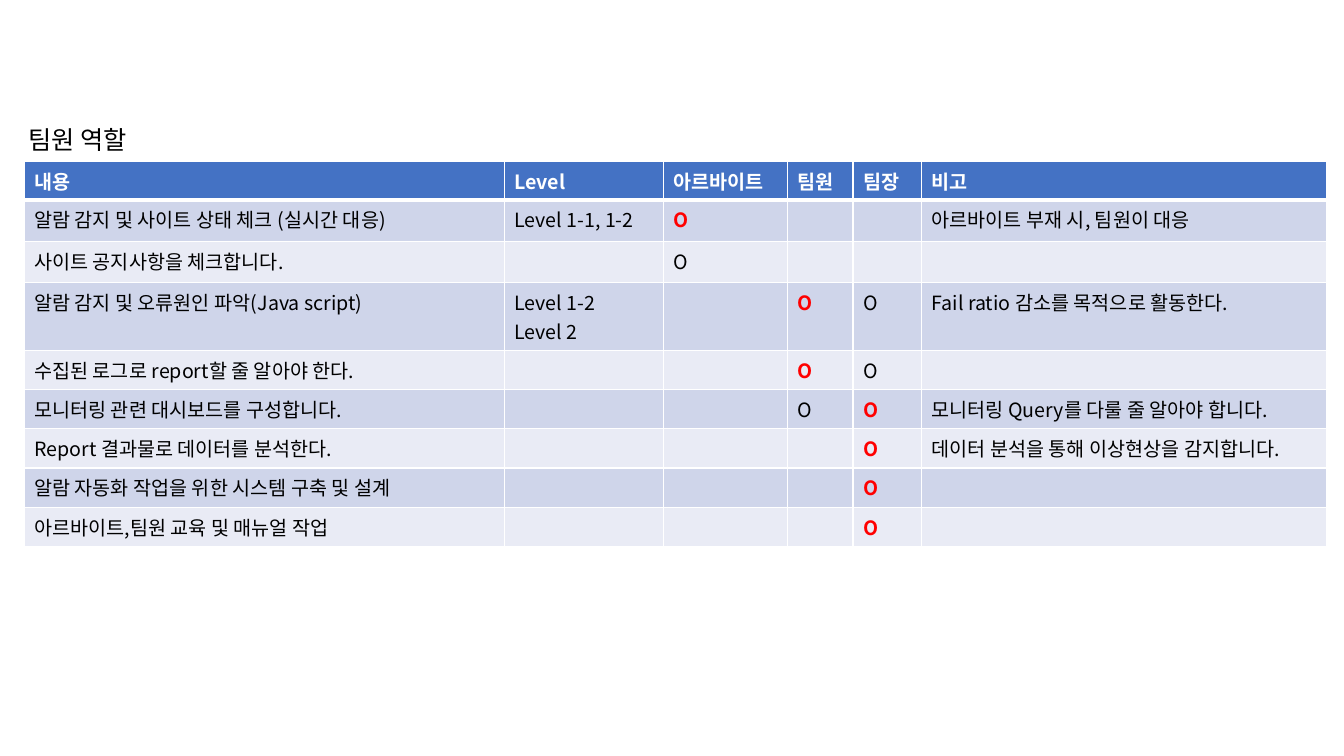
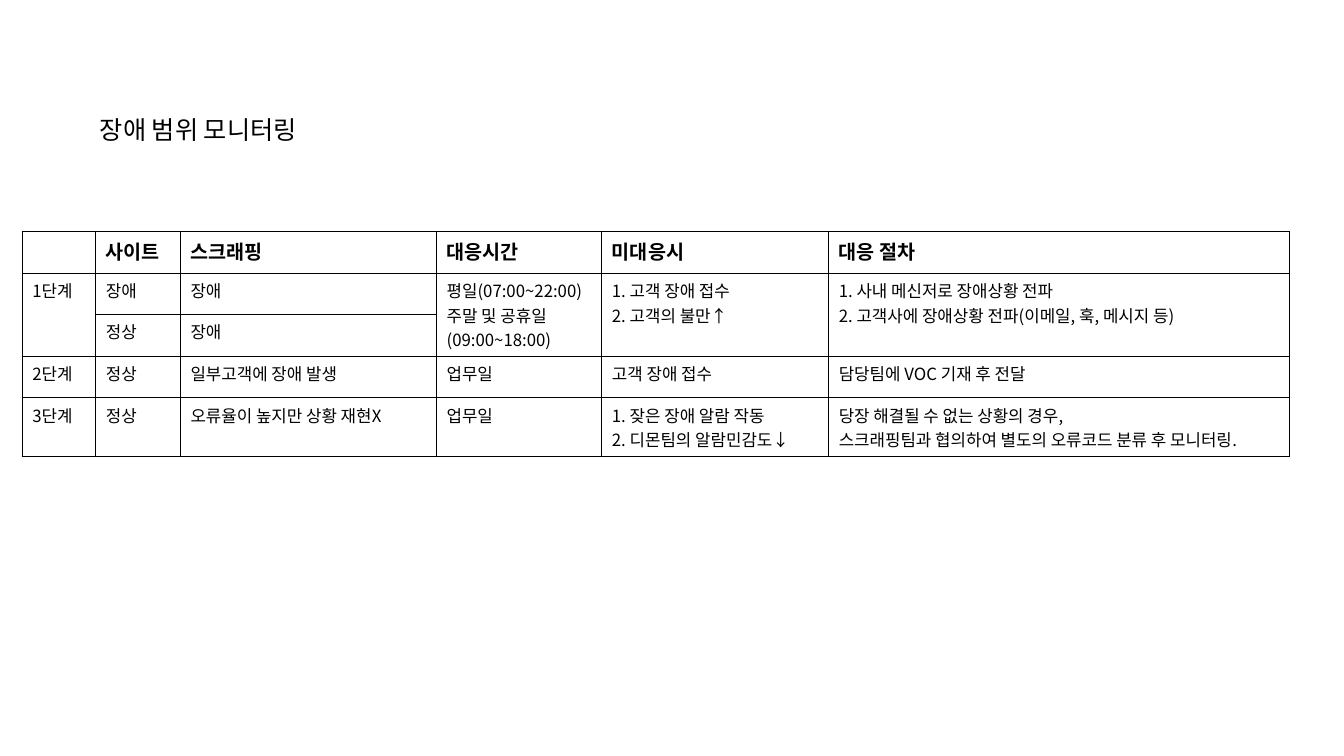
"""Build two slides: team roles and the monitoring scope for failures."""
from lxml.etree import SubElement
from pptx import Presentation
from pptx.dml.color import RGBColor
from pptx.enum.text import MSO_ANCHOR, MSO_AUTO_SIZE, PP_ALIGN
from pptx.oxml.ns import qn
from pptx.util import Inches, Pt

FONT = "Noto Sans CJK KR"
COLORS = {
    "text": "000000",
    "white": "FFFFFF",
    "lead": "FF0000",
    "header": "4472C4",
    "band_dark": "CFD5EA",
    "band_light": "E9EBF5",
}


def style_text(frame, size, color, bold=False):
    for paragraph in frame.paragraphs:
        paragraph.alignment = PP_ALIGN.LEFT
        paragraph.font.size = Pt(size)
        paragraph.font.bold = bold
        paragraph.font.color.rgb = RGBColor.from_string(COLORS[color])
        paragraph.font.name = FONT
        properties = paragraph._p.pPr.find(qn("a:defRPr"))
        SubElement(properties, qn("a:ea"), typeface=FONT)


def set_borders(cell, color, bottom=1, top=1):
    properties = cell._tc.get_or_add_tcPr()
    widths = {"a:lnL": 1, "a:lnR": 1, "a:lnT": top, "a:lnB": bottom}
    for position, (tag, width) in enumerate(widths.items()):
        line = properties.makeelement(qn(tag), {"w": str(Pt(width))})
        fill = SubElement(line, qn("a:solidFill"))
        SubElement(fill, qn("a:srgbClr"), val=COLORS[color])
        properties.insert(position, line)


role_rows = [
    ["내용", "Level", "아르바이트", "팀원", "팀장", "비고"],
    ["알람 감지 및 사이트 상태 체크 (실시간 대응)", "Level 1-1, 1-2", "O", "", "",
     "아르바이트 부재 시, 팀원이 대응"],
    ["사이트 공지사항을 체크합니다.", "", "O", "", "", ""],
    ["알람 감지 및 오류원인 파악(Java script)", "Level 1-2\nLevel 2", "", "O", "O",
     "Fail ratio 감소를 목적으로 활동한다."],
    ["수집된 로그로 report할 줄 알아야 한다.", "", "", "O", "O", ""],
    ["모니터링 관련 대시보드를 구성합니다.", "", "", "O", "O",
     "모니터링 Query를 다룰 줄 알아야 합니다."],
    ["Report 결과물로 데이터를 분석한다.", "", "", "", "O",
     "데이터 분석을 통해 이상현상을 감지합니다."],
    ["알람 자동화 작업을 위한 시스템 구축 및 설계", "", "", "", "O", ""],
    ["아르바이트,팀원 교육 및 매뉴얼 작업", "", "", "", "O", ""],
]
lead_columns = {1: 2, 3: 3, 4: 3, 5: 4, 6: 4, 7: 4, 8: 4}

scope_rows = [
    ["", "사이트", "스크래핑", "대응시간", "미대응시", "대응 절차"],
    ["1단계", "장애", "장애", "평일(07:00~22:00)\n주말 및 공휴일(09:00~18:00)",
     "1. 고객 장애 접수\n2. 고객의 불만↑",
     "1. 사내 메신저로 장애상황 전파\n2. 고객사에 장애상황 전파(이메일, 훅, 메시지 등)"],
    ["", "정상", "장애", "", "", ""],
    ["2단계", "정상", "일부고객에 장애 발생", "업무일", "고객 장애 접수",
     "담당팀에 VOC 기재 후 전달"],
    ["3단계", "정상", "오류율이 높지만 상황 재현X", "업무일",
     "1. 잦은 장애 알람 작동\n2. 디몬팀의 알람민감도↓",
     "당장 해결될 수 없는 상황의 경우,\n"
     "스크래핑팀과 협의하여 별도의 오류코드 분류 후 모니터링."],
]

pages = [
    {
        "title": "팀원 역할", "title_box": (0.18, 1.18, 1.3, 0.4),
        "rows": role_rows, "corner": (0.24, 1.6),
        "widths": [4.76, 1.58, 1.23, 0.65, 0.68, 4.02],
        "heights": [0.38, 0.41, 0.41, 0.67] + [0.39] * 5,
        "fills": ["header"] + ["band_dark", "band_light"] * 4,
        "header_color": "white", "body_size": 14, "border": "white",
        "header_rule": 3, "leads": lead_columns, "merged": [],
    },
    {
        "title": "장애 범위 모니터링", "title_box": (0.89, 1.08, 2.49, 0.4),
        "rows": scope_rows, "corner": (0.22, 2.3),
        "widths": [0.73, 0.84, 2.54, 1.64, 2.25, 4.57],
        "heights": [0.41] * 4 + [0.58],
        "fills": [None] * 5,
        "header_color": "text", "body_size": 12, "border": "text",
        "header_rule": 1, "leads": {}, "merged": [0, 3, 4, 5],
    },
]

deck = Presentation()
deck.slide_width = Inches(13.33)
deck.slide_height = Inches(7.5)

for content in pages:
    page = deck.slides.add_slide(deck.slide_layouts[5])
    title = page.shapes.title
    title.left, title.top, title.width, title.height = map(Inches, content["title_box"])
    title.text_frame.text = content["title"]
    title.text_frame.word_wrap = False
    title.text_frame.auto_size = MSO_AUTO_SIZE.NONE
    title.text_frame.vertical_anchor = MSO_ANCHOR.TOP
    style_text(title.text_frame, 18, "text")

    left, top = content["corner"]
    widths, heights = content["widths"], content["heights"]
    table = page.shapes.add_table(
        len(heights), len(widths), Inches(left), Inches(top),
        Inches(sum(widths)), Inches(sum(heights))).table
    table.horz_banding = False
    for column, width in zip(table.columns, widths):
        column.width = Inches(width)
    for row, height in zip(table.rows, heights):
        row.height = Inches(height)

    for row_index, (labels, fill) in enumerate(zip(content["rows"], content["fills"])):
        for column_index, label in enumerate(labels):
            cell = table.cell(row_index, column_index)
            cell.text = label
            is_header = row_index == 0
            is_lead = content["leads"].get(row_index) == column_index
            size = 14 if is_header else content["body_size"]
            color = content["header_color"] if is_header else "lead" if is_lead else "text"
            style_text(cell.text_frame, size, color, is_header or is_lead)
            if fill:
                cell.fill.solid()
                cell.fill.fore_color.rgb = RGBColor.from_string(COLORS[fill])
            else:
                cell.fill.background()
            set_borders(cell, content["border"],
                        bottom=content["header_rule"] if is_header else 1,
                        top=content["header_rule"] if row_index == 1 else 1)

    for column_index in content["merged"]:
        table.cell(1, column_index).merge(table.cell(2, column_index))

deck.save("out.pptx")
